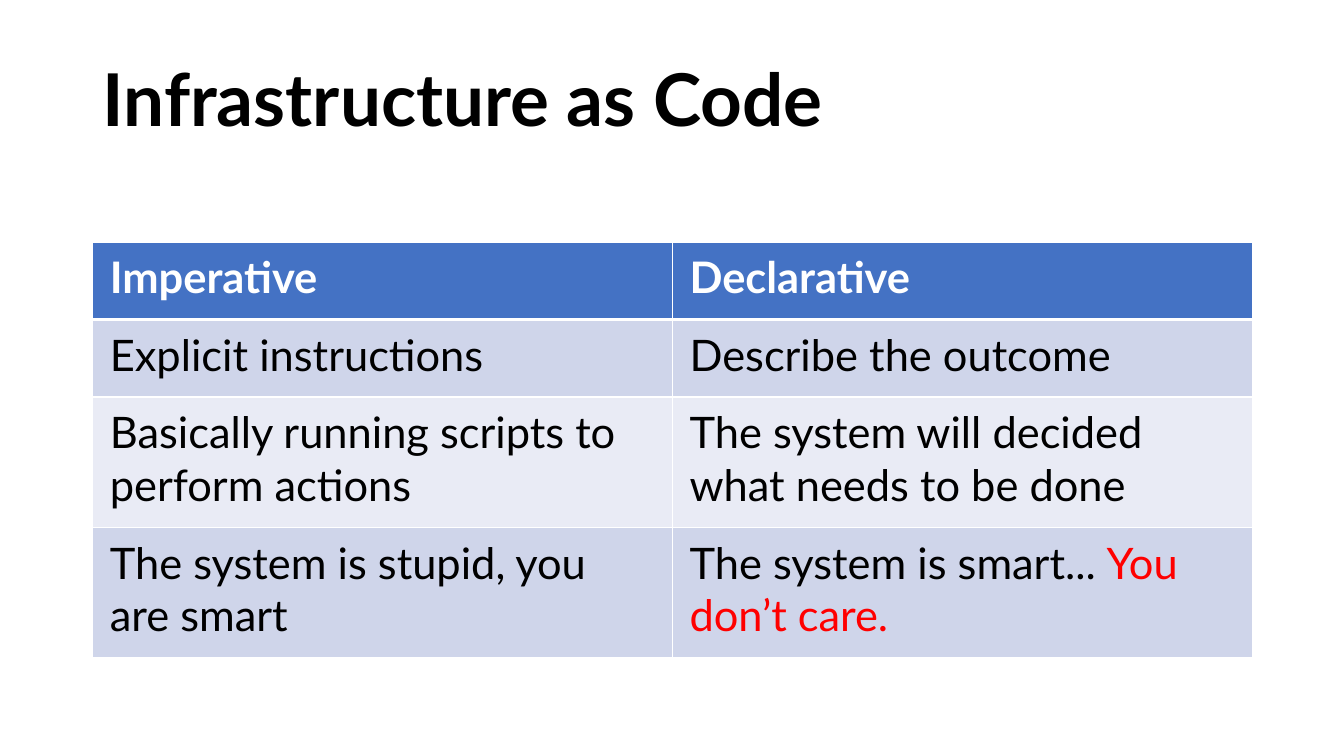
from pptx import Presentation
from pptx.dml.color import RGBColor
from pptx.enum.text import MSO_ANCHOR
from pptx.oxml import parse_xml
from pptx.oxml.ns import nsdecls
from pptx.util import Inches, Pt

MIDDLE = MSO_ANCHOR.MIDDLE
TITLE_ONLY = 5

BLACK, WHITE, RED = "000000", "FFFFFF", "FF0000"
HEADER_FILL = "4472C4"
BAND_FILLS = ("CFD5EA", "E9EBF5")


def color(hex_value):
    return RGBColor.from_string(hex_value)


def add_text(paragraph, text, size=31, bold=False, text_color=BLACK, font="Lato"):
    run = paragraph.add_run()
    run.text = text
    run.font.name = font
    run.font.size = Pt(size)
    run.font.bold = bold
    run.font.color.rgb = color(text_color)


def add_border(cell, side, width):
    cell._tc.get_or_add_tcPr().append(parse_xml(
        f'<a:ln{side} {nsdecls("a")} w="{Pt(width)}"><a:solidFill>'
        f'<a:srgbClr val="{WHITE}"/></a:solidFill></a:ln{side}>'))


class SlideBuilder:
    def __init__(self, presentation):
        self.slide = presentation.slides.add_slide(presentation.slide_layouts[TITLE_ONLY])

    def title(self, text, left, top, width, height):
        title = self.slide.shapes.title
        title.left, title.top = Inches(left), Inches(top)
        title.width, title.height = Inches(width), Inches(height)
        frame = title.text_frame
        frame.word_wrap = True
        frame.vertical_anchor = MIDDLE
        paragraph = frame.paragraphs[0]
        paragraph.alignment = 1  # left
        paragraph.line_spacing = 0.9
        add_text(paragraph, text, size=52, bold=True)

    def table(self, rows, left, top, width, row_heights):
        shape = self.slide.shapes.add_table(
            len(rows), len(rows[0]), Inches(left), Inches(top),
            Inches(width), Inches(sum(row_heights)))
        table = shape.table
        for row_index, row in enumerate(rows):
            table.rows[row_index].height = Inches(row_heights[row_index])
            for column_index, runs in enumerate(row):
                self.cell(table.cell(row_index, column_index), runs, row_index)

    def cell(self, cell, runs, row_index):
        is_header = row_index == 0
        cell.margin_left = cell.margin_right = Inches(0.17)
        cell.margin_top = cell.margin_bottom = Inches(0.09)

        # A thicker line separates the header from the body
        top_width = 3 if row_index == 1 else 1
        bottom_width = 3 if is_header else 1
        for side, width in (("L", 1), ("R", 1), ("T", top_width), ("B", bottom_width)):
            add_border(cell, side, width)

        cell.fill.solid()
        fill = HEADER_FILL if is_header else BAND_FILLS[(row_index - 1) % 2]
        cell.fill.fore_color.rgb = color(fill)
        for text, text_color in runs:
            add_text(cell.text_frame.paragraphs[0], text,
                     bold=is_header, text_color=text_color)


def main():
    presentation = Presentation()
    presentation.slide_width = Inches(13.33)
    presentation.slide_height = Inches(7.5)
    builder = SlideBuilder(presentation)

    # Title
    builder.title("Infrastructure as Code", 0.92, 0.2, 11.5, 1.65)

    # Comparison table: each cell is a list of (text, color) runs
    comparison = [
        [[("Imperative", WHITE)], [("Declarative", WHITE)]],
        [[("Explicit instructions", BLACK)], [("Describe the outcome", BLACK)]],
        [[("Basically running scripts to perform actions", BLACK)],
         [("The system will decided what needs to be done", BLACK)]],
        [[("The system is stupid, you are smart", BLACK)],
         [("The system is smart... ", BLACK), ("You don’t care.", RED)]],
    ]
    builder.table(comparison, 0.92, 2.4, 11.5, (0.77, 0.77, 1.29, 1.29))

    presentation.save("out.pptx")


if __name__ == "__main__":
    main()
